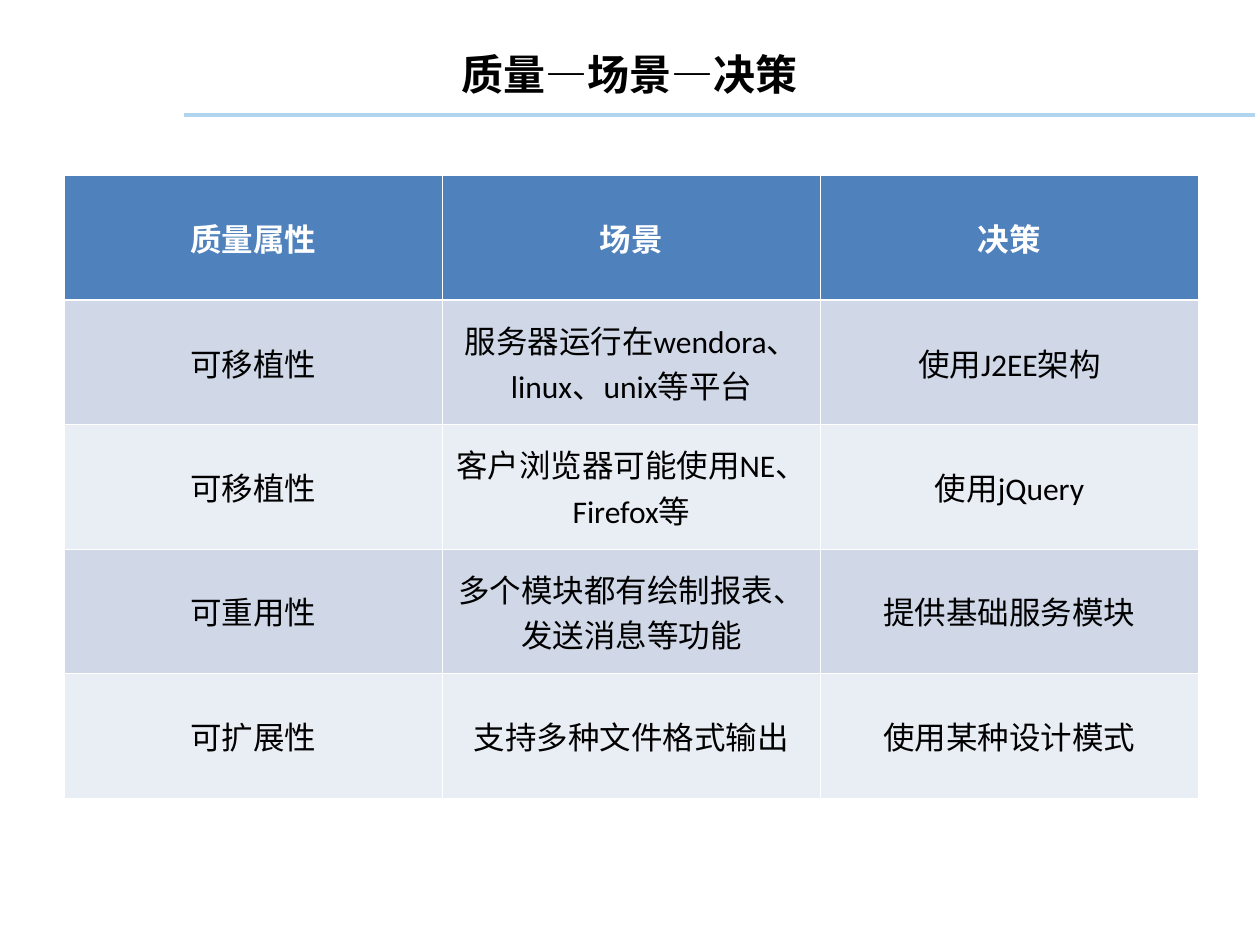
from lxml import etree
from pptx import Presentation
from pptx import util as u
from pptx.dml.color import RGBColor
from pptx.enum import shapes, text
from pptx.oxml.ns import qn

COLORS = {
    "ink": "000000",
    "white": "FFFFFF",
    "rule": "B1D5EF",
    "header": "4F81BD",
    "odd_row": "D0D8E8",
    "even_row": "E9EDF4",
}

ROWS = [
    ("质量属性", "场景", "决策"),
    ("可移植性", "服务器运行在wendora、linux、unix等平台", "使用J2EE架构"),
    ("可移植性", "客户浏览器可能使用NE、Firefox等", "使用jQuery"),
    ("可重用性", "多个模块都有绘制报表、发送消息等功能", "提供基础服务模块"),
    ("可扩展性", "支持多种文件格式输出", "使用某种设计模式"),
]


def color(name):
    return RGBColor.from_string(COLORS[name])


def write(frame, words, *, size, ink="ink", bold=False, font="Calibri"):
    frame.word_wrap = True
    para = frame.paragraphs[0]
    para.alignment = text.PP_ALIGN.CENTER
    span = para.add_run()
    span.text = words
    span.font.name = font
    span.font.size = u.Pt(size)
    span.font.bold = bold
    span.font.color.rgb = color(ink)


def border(cell, widths):
    """Draw white cell edges; widths gives points for left, right, top, bottom."""
    properties = cell._tc.get_or_add_tcPr()
    for index, (side, width) in enumerate(zip("LRTB", widths)):
        edge = etree.Element(qn(f"a:ln{side}"), w=str(u.Pt(width)))
        fill = etree.SubElement(edge, qn("a:solidFill"))
        etree.SubElement(fill, qn("a:srgbClr"), val=COLORS["white"])
        properties.insert(index, edge)


class SlideBuilder:
    """Holds the current page and the style shared by its elements."""

    title_size = 24
    cell_size = 18
    thin, thick = 0.45, 1.47

    def __init__(self, page):
        self.page = page

    def title(self, words, left, top, width, height):
        box = self.page.shapes.add_textbox(u.Cm(left), u.Cm(top), u.Cm(width), u.Cm(height))
        box.text_frame.vertical_anchor = text.MSO_ANCHOR.MIDDLE
        write(box.text_frame, words, size=self.title_size, bold=True)

    def rule(self, left, right, top):
        line = self.page.shapes.add_connector(
            shapes.MSO_CONNECTOR.STRAIGHT, u.Cm(left), u.Cm(top), u.Cm(right), u.Cm(top))
        line.line.color.rgb = color("rule")
        line.line.width = u.Pt(2)
        etree.SubElement(line._element.spPr, qn("a:effectLst"))

    def table(self, rows, left, top, column_width, row_height):
        columns = len(rows[0])
        table = self.page.shapes.add_table(
            len(rows), columns, u.Cm(left), u.Cm(top),
            u.Cm(column_width * columns), u.Cm(row_height * len(rows))).table
        for column in table.columns:
            column.width = u.Cm(column_width)
        for number, words in enumerate(rows):
            table.rows[number].height = u.Cm(row_height)
            for position, entry in enumerate(words):
                self.cell(table.cell(number, position), entry, number)

    def cell(self, cell, words, row):
        header = row == 0
        fill = "header" if header else "odd_row" if row % 2 else "even_row"
        cell.fill.solid()
        cell.fill.fore_color.rgb = color(fill)
        cell.vertical_anchor = text.MSO_ANCHOR.MIDDLE
        write(cell.text_frame, words, size=self.cell_size,
              ink="white" if header else "ink", bold=header)
        top = self.thick if row == 1 else self.thin
        bottom = self.thick if header else self.thin
        border(cell, (self.thin, self.thin, top, bottom))


def main():
    deck = Presentation()
    deck.slide_width, deck.slide_height = u.Cm(25.4), u.Cm(19.05)
    builder = SlideBuilder(deck.slides.add_slide(deck.slide_layouts[6]))
    builder.rule(left=3.71, right=25.3, top=2.32)
    builder.title("质量—场景—决策", left=1.27, top=0.64, width=22.86, height=1.68)
    builder.table(ROWS, left=1.3, top=3.54, column_width=7.62, row_height=2.51)
    deck.save("out.pptx")


if __name__ == "__main__":
    main()
